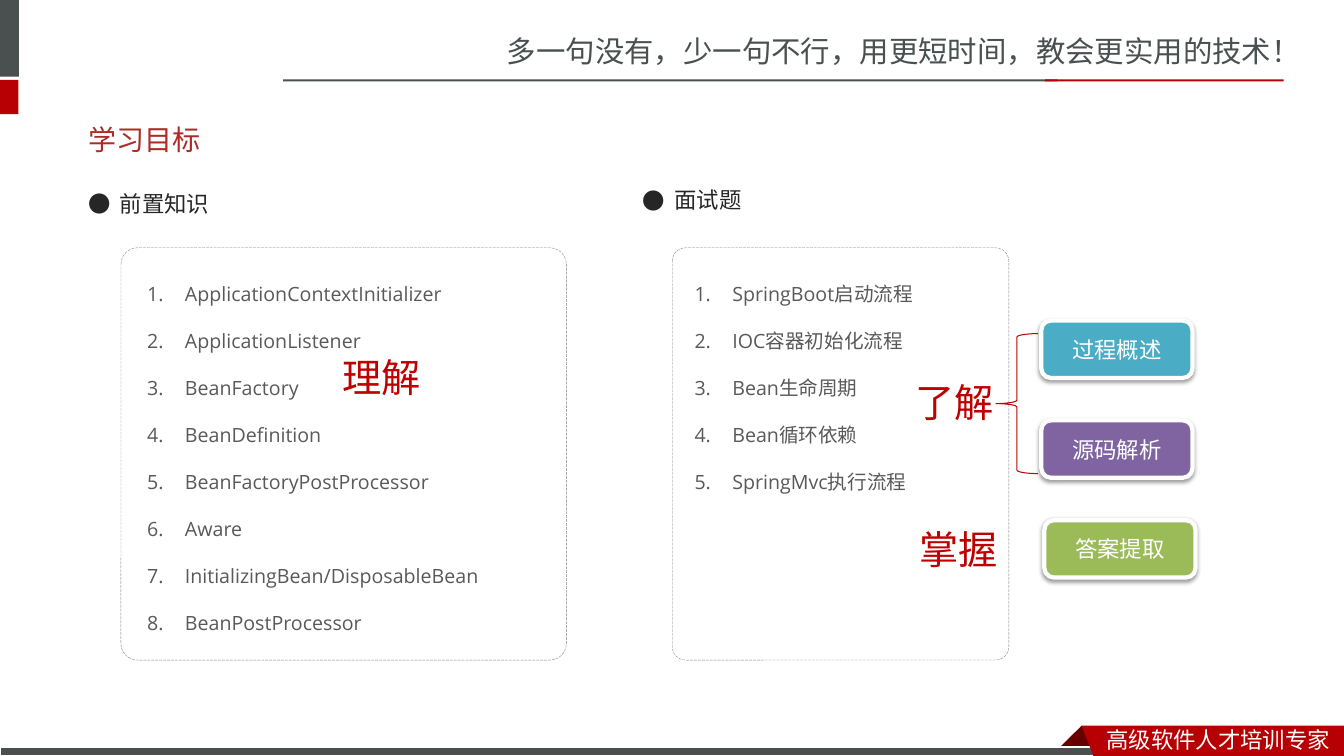
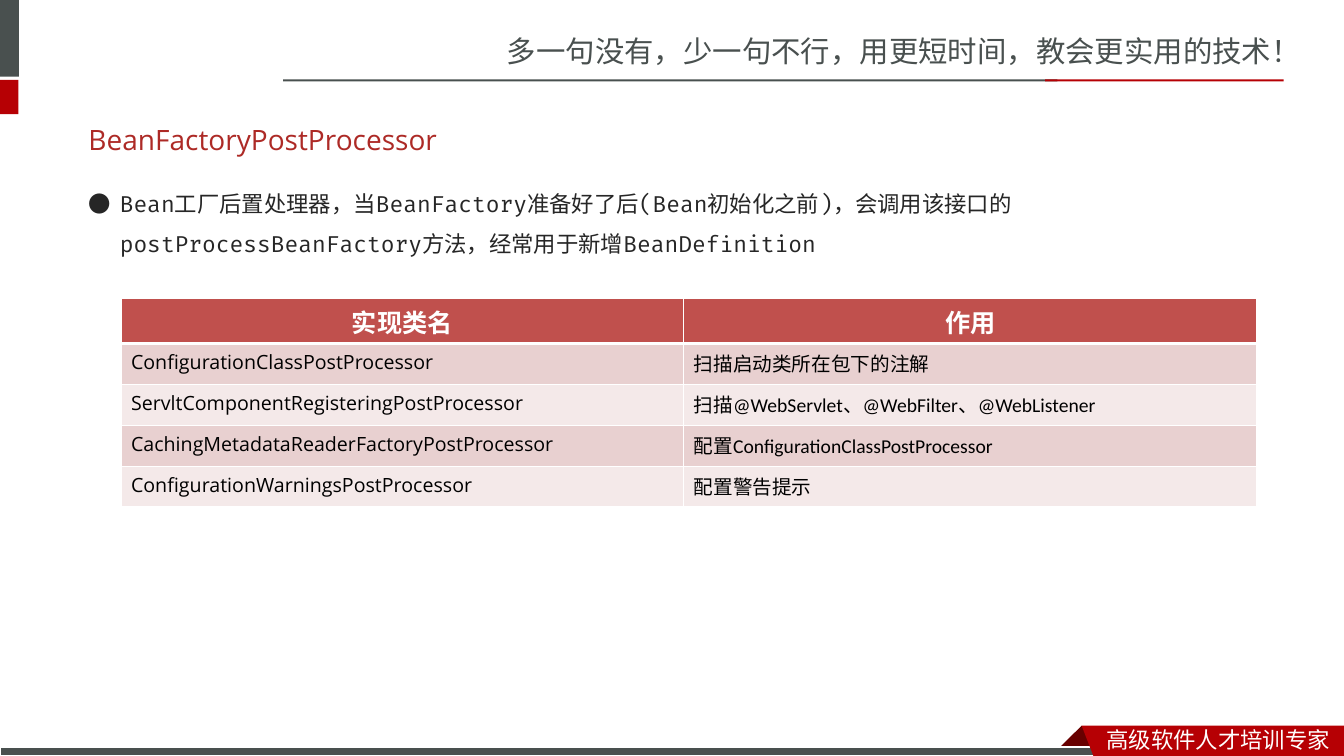
from lxml import etree
from pptx import Presentation
from pptx import util as u
from pptx.dml.color import RGBColor
from pptx.enum import dml, shapes, text
from pptx.oxml import ns

SHAPE = shapes.MSO_SHAPE
ALIGN = text.PP_ALIGN
ANCHOR = text.MSO_ANCHOR


def color(code):
    return RGBColor.from_string(code)


def add_xml(parent, tag, **attributes):
    return etree.SubElement(parent, ns.qn(tag), attributes)


class SlideWriter:
    """Holds the deck's style and the slide being filled."""

    GRAY, RED, DARK_RED, WHITE = "49504F", "B60004", "680000", "FFFFFF"
    TITLE, INK, LIST, MARK = "AD2A26", "262626", "595959", "C00000"
    HEADER, BANDS = "C0504D", ("E8D0D0", "F4E9E9")
    HAN, HAN_MARK = "Noto Sans CJK SC", "Noto Sans CJK JP"
    SANS, CODE, PLAIN = "Open Sans", "Fira Code", "Calibri"

    def __init__(self):
        self.deck = Presentation()
        self.deck.slide_width, self.deck.slide_height = u.Pt(960), u.Pt(540)
        self.page = None

    # Slide frame
    def new_page(self, title):
        layout = self.deck.slide_layouts.get_by_name("Title Only")
        self.page = self.deck.slides.add_slide(layout)
        self.frame()
        box = self.page.shapes.title
        box.left, box.top, box.width, box.height = map(u.Pt, (56, 79, 842, 41))
        box.text_frame.vertical_anchor = ANCHOR.MIDDLE
        para = box.text_frame.paragraphs[0]
        para.alignment = ALIGN.LEFT
        self.span(para, title, 20, self.SANS, self.TITLE)

    def frame(self):
        self.label("多一句没有，少一句不行，用更短时间，教会更实用的技术！",
                   (355, 20, 605, 34), 21, self.HAN, self.GRAY)
        # Corner blocks and header rule
        for place, fill in (((0, 0, 13.5, 54.7), self.GRAY),
                            ((0, 57, 13.2, 24.5), self.RED),
                            ((202.3, 56.7, 553, 1.5), self.GRAY),
                            ((746.6, 56.7, 170.4, 1.5), self.RED)):
            self.shape(SHAPE.RECTANGLE, place, fill)
        # Footer bar and ribbon
        self.polygon([(772.6, 518.4), (788.4, 534.2), (787.7, 535),
                      (757.4, 535), (756.7, 534.2)], self.DARK_RED)
        self.shape(SHAPE.RECTANGLE, (0, 533.6, 791, 6.4), self.GRAY,
                   (self.WHITE, 0.75))
        self.polygon([(772.6, 518.4), (960, 518.4), (960, 540), (781, 540)],
                     self.RED)
        self.label("高级软件人才培训专家", (783.4, 515, 176.6, 25), 16,
                   self.HAN, self.WHITE)

    # Text
    def span(self, para, words, size, font, ink, bold=False):
        span = para.add_run()
        span.text = words
        span.font.size, span.font.bold = u.Pt(size), bold
        span.font.color.rgb = color(ink)
        span.font.name = font
        han = self.HAN_MARK if font == self.HAN_MARK else self.HAN
        add_xml(span._r.get_or_add_rPr(), "a:ea", typeface=han)

    def text_box(self, place, wrap=True):
        box = self.page.shapes.add_textbox(*map(u.Pt, place))
        box.text_frame.word_wrap = wrap
        return box.text_frame

    def label(self, words, place, size, font, ink, wrap=True):
        para = self.text_box(place, wrap).paragraphs[0]
        self.span(para, words, size, font, ink)

    def indent(self, para, hang, spacing, before=0):
        para.line_spacing, para.space_before = spacing, u.Pt(before)
        props = para._p.get_or_add_pPr()
        props.set("marL", str(u.Pt(hang)))
        props.set("indent", str(-u.Pt(hang)))
        return props

    def bullet(self, words, place):
        para = self.text_box(place).paragraphs[0]
        props = self.indent(para, 22.5, 1.5, 3.2)
        add_xml(props, "a:buFont", typeface=self.HAN)
        add_xml(props, "a:buChar", char="●")
        self.span(para, words, 16, self.CODE, self.INK)

    def numbered(self, items, place):
        frame = self.text_box(place)
        for index, item in enumerate(items):
            para = frame.add_paragraph() if index else frame.paragraphs[0]
            props = self.indent(para, 27, 2.0)
            add_xml(props, "a:buFont", typeface=self.SANS)
            add_xml(props, "a:buAutoNum", type="arabicPeriod")
            self.span(para, item, 14, self.SANS, self.LIST)

    def mark(self, words, left, top):
        self.label(words, (left, top, 71, 41), 28, self.HAN_MARK, self.MARK,
                   wrap=False)

    # Shapes
    def paint(self, shape, fill=None, line=None):
        shape.shadow.inherit = False
        if fill:
            shape.fill.solid()
            shape.fill.fore_color.rgb = color(fill)
        else:
            shape.fill.background()
        if line:
            shape.line.color.rgb = color(line[0])
            shape.line.width = u.Pt(line[1])
        else:
            shape.line.fill.background()
        return shape

    def shape(self, kind, place, fill=None, line=None):
        shape = self.page.shapes.add_shape(kind, *map(u.Pt, place))
        return self.paint(shape, fill, line)

    def polygon(self, points, fill):
        corners = [(u.Pt(x), u.Pt(y)) for x, y in points]
        builder = self.page.shapes.build_freeform(*corners[0])
        builder.add_line_segments(corners[1:], close=True)
        self.paint(builder.convert_to_shape(), fill)

    def panel(self, place):
        panel = self.shape(SHAPE.ROUNDED_RECTANGLE, place, line=("808080", 0.25))
        panel.adjustments[0] = 0.04
        panel.line.dash_style = dml.MSO_LINE.LONG_DASH

    def button(self, words, left, top, fill):
        button = self.shape(SHAPE.ROUNDED_RECTANGLE, (left, top, 108, 41), fill,
                            (self.WHITE, 3))
        effects = button._element.spPr.find(ns.qn("a:effectLst"))
        shadow = add_xml(effects, "a:outerShdw", blurRad=str(u.Pt(3.1)),
                         dist=str(u.Pt(1.6)), dir="5400000", rotWithShape="0")
        add_xml(add_xml(shadow, "a:srgbClr", val="000000"), "a:alpha", val="38000")
        button.text_frame.vertical_anchor = ANCHOR.MIDDLE
        para = button.text_frame.paragraphs[0]
        para.alignment = ALIGN.CENTER
        self.span(para, words, 16, self.PLAIN, self.WHITE)

    # Table
    def borders(self, cell, bottom, top):
        props = cell._tc.get_or_add_tcPr()
        sides = (("a:lnL", 1), ("a:lnR", 1), ("a:lnT", top), ("a:lnB", bottom))
        for index, (side, width) in enumerate(sides):
            line = add_xml(props, side, w=str(u.Pt(width)))
            add_xml(add_xml(line, "a:solidFill"), "a:srgbClr", val=self.WHITE)
            props.insert(index, line)

    def table(self, rows, left, top, widths, heights):
        table = self.page.shapes.add_table(
            len(rows), len(widths), u.Pt(left), u.Pt(top),
            u.Pt(sum(widths)), u.Pt(sum(heights))).table
        for column, width in zip(table.columns, widths):
            column.width = u.Pt(width)
        for r, (row, height) in enumerate(zip(rows, heights)):
            table.rows[r].height = u.Pt(height)
            for c, words in enumerate(row):
                cell = table.cell(r, c)
                cell.fill.solid()
                para = cell.text_frame.paragraphs[0]
                if r == 0:
                    fill = self.HEADER
                    para.alignment = ALIGN.CENTER
                    self.span(para, words, 18, self.PLAIN, self.WHITE, bold=True)
                else:
                    fill = self.BANDS[(r - 1) % 2]
                    font = self.PLAIN if c else self.SANS
                    self.span(para, words, 14, font, "000000")
                cell.fill.fore_color.rgb = color(fill)
                self.borders(cell, 1 if r else 3, 3 if r == 1 else 1)


def goals_page(writer):
    writer.new_page("学习目标")
    # Prerequisites
    writer.bullet("前置知识", (56, 122.4, 253, 41))
    writer.panel((86.4, 177, 318.2, 294.5))
    writer.numbered(["ApplicationContextInitializer", "ApplicationListener",
                     "BeanFactory", "BeanDefinition",
                     "BeanFactoryPostProcessor", "Aware",
                     "InitializingBean/DisposableBean", "BeanPostProcessor"],
                    (98, 180.7, 277, 274))
    # Interview questions
    writer.bullet("面试题", (452.2, 119.7, 260, 41))
    writer.panel((480.2, 177, 240.5, 294.5))
    writer.numbered(["SpringBoot启动流程", "IOC容器初始化流程", "Bean生命周期",
                     "Bean循环依赖", "SpringMvc执行流程"],
                    (489, 180.7, 209.5, 172))
    # Answer levels
    for index, (words, left, fill) in enumerate((("过程概述", 743.8, "4BACC6"),
                                                 ("源码解析", 743.8, "8064A2"),
                                                 ("答案提取", 746, "9BBB59"))):
        writer.button(words, left, 229 + 71.3 * index, fill)
    writer.shape(SHAPE.LEFT_BRACE, (711.4, 238.3, 30, 100),
                 line=(writer.MARK, 0.75))
    writer.mark("理解", 237.6, 249)
    writer.mark("了解", 646.6, 267)
    writer.mark("掌握", 649.4, 372)


def processor_page(writer):
    writer.new_page("BeanFactoryPostProcessor")
    writer.bullet("Bean工厂后置处理器，当BeanFactory准备好了后(Bean初始化之前)，"
                  "会调用该接口的postProcessBeanFactory方法，经常用于新增BeanDefinition",
                  (56, 122.4, 872, 61))
    writer.table([("实现类名", "作用"),
                  ("ConfigurationClassPostProcessor", "扫描启动类所在包下的注解"),
                  ("ServltComponentRegisteringPostProcessor",
                   "扫描@WebServlet、@WebFilter、@WebListener"),
                  ("CachingMetadataReaderFactoryPostProcessor",
                   "配置ConfigurationClassPostProcessor"),
                  ("ConfigurationWarningsPostProcessor", "配置警告提示")],
                 86.4, 213.3, (402, 409.5), (32,) + (29.25,) * 4)


def main():
    writer = SlideWriter()
    goals_page(writer)
    processor_page(writer)
    writer.deck.save("out.pptx")


if __name__ == "__main__":
    main()
